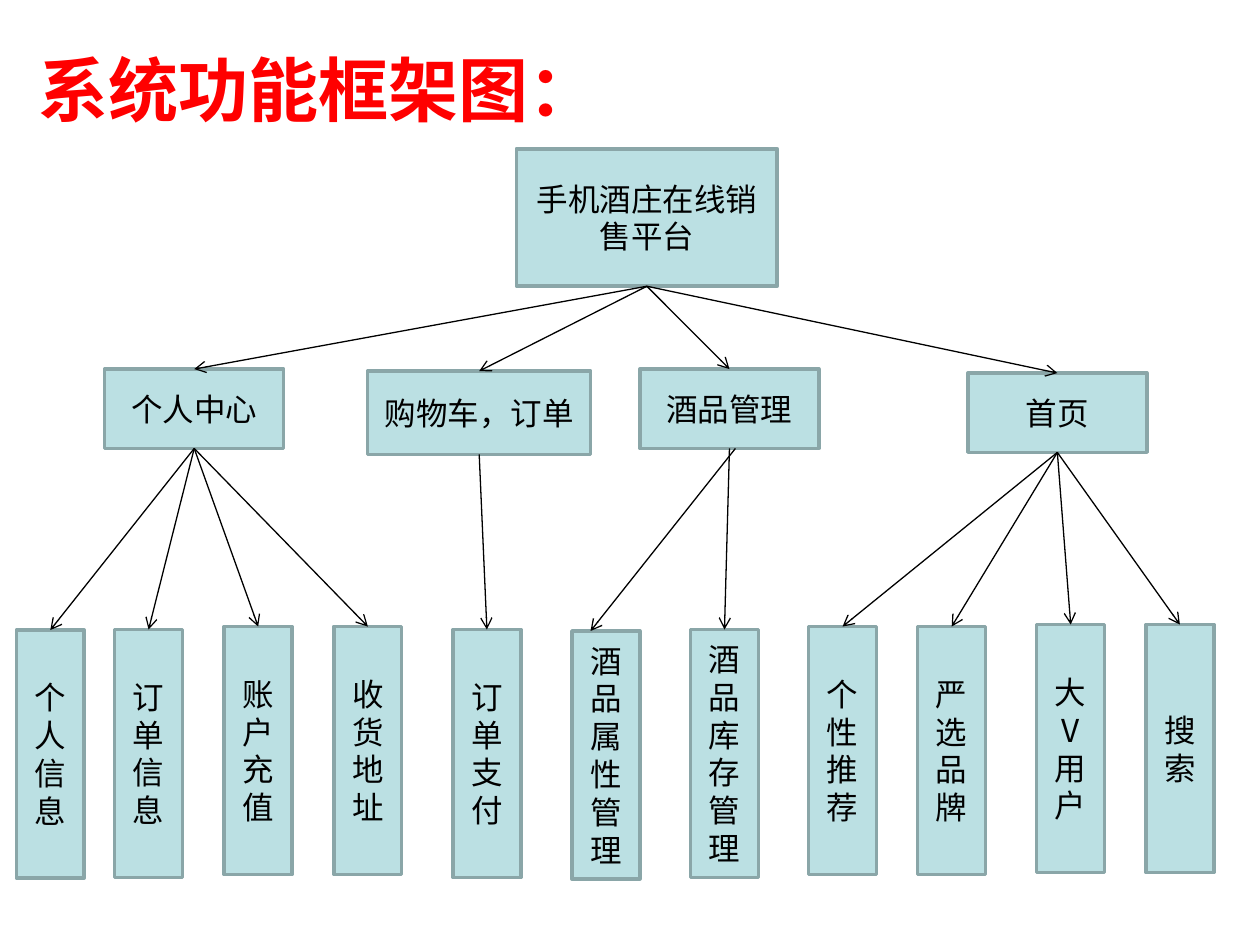
import pptx
import pptx.dml.color
import pptx.enum.shapes
import pptx.enum.text
import pptx.util
import lxml.etree
from pptx.oxml.ns import qn

Cm = pptx.util.Cm
Pt = pptx.util.Pt
RGBColor = pptx.dml.color.RGBColor

BOX_FILL = RGBColor(0xBB, 0xE0, 0xE3)
BOX_LINE = RGBColor(0x8A, 0xA6, 0xA8)
BLACK = RGBColor(0, 0, 0)
RED = RGBColor(0xFF, 0, 0)

LEAF_WIDTH, LEAF_HEIGHT = 1.37, 5

ROOT = ("手机酒庄在线销售平台", 10.41, 3, 5.26, 2.77)
BRANCHES = [
    (("个人中心", 2.11, 7.44, 3.61, 1.6), [
        ("个人信息", 0.33, 12.7), ("订单信息", 2.31, 12.69),
        ("账户充值", 4.52, 12.63), ("收货地址", 6.73, 12.63)]),
    (("购物车，订单", 7.41, 7.48, 4.5, 1.68), [("订单支付", 9.13, 12.69)]),
    (("酒品管理", 12.9, 7.44, 3.61, 1.6), [
        ("酒品属性管理", 11.53, 12.72), ("酒品库存管理", 13.92, 12.69)]),
    (("首页", 19.51, 7.52, 3.61, 1.6), [
        ("个性推荐", 16.3, 12.63), ("严选品牌", 18.5, 12.63),
        ("大V用户", 20.9, 12.59), ("搜索", 23.1, 12.59)]),
]
ARROW_SHIFTS = {"酒品属性管理": (0.12, -0.31)}


class Diagram:
    box_font = "Noto Sans CJK SC"
    title_font = "TeX Gyre Adventor"

    def __init__(self, slide):
        self.slide = slide

    def add_run(self, paragraph, text, size, font_name, color, bold=False):
        run = paragraph.add_run()
        run.text = text
        run.font.size = Pt(size)
        run.font.name = font_name
        run.font.bold = bold
        run.font.color.rgb = color
        properties = run.font._element
        east_asian = lxml.etree.SubElement(properties, qn("a:ea"))
        east_asian.set("typeface", self.box_font)

    def add_title(self, text, left, top, width, height):
        shape = self.slide.shapes.add_textbox(Cm(left), Cm(top), Cm(width), Cm(height))
        shape.text_frame.word_wrap = True
        self.add_run(shape.text_frame.paragraphs[0], text, 40, self.title_font, RED, True)

    def add_box(self, text, left, top, width, height):
        shape = self.slide.shapes.add_shape(
            pptx.enum.shapes.MSO_SHAPE.RECTANGLE, Cm(left), Cm(top), Cm(width), Cm(height))
        shape.shadow.inherit = False
        shape.fill.solid()
        shape.fill.fore_color.rgb = BOX_FILL
        shape.line.color.rgb = BOX_LINE
        shape.line.width = Pt(2)
        shape.text_frame.word_wrap = True
        shape.text_frame.vertical_anchor = pptx.enum.text.MSO_ANCHOR.MIDDLE
        paragraph = shape.text_frame.paragraphs[0]
        paragraph.alignment = pptx.enum.text.PP_ALIGN.CENTER
        self.add_run(paragraph, text, 18, self.box_font, BLACK)
        return shape

    def add_arrow(self, parent, child, start_shift=0, end_shift=0):
        connector = self.slide.shapes.add_connector(
            pptx.enum.shapes.MSO_CONNECTOR.STRAIGHT,
            parent.left + parent.width // 2 + Cm(start_shift), parent.top + parent.height,
            child.left + child.width // 2 + Cm(end_shift), child.top)
        connector.line.color.rgb = BLACK
        connector.line.width = Pt(0.75)
        line = connector.line._get_or_add_ln()
        lxml.etree.SubElement(line, qn("a:tailEnd")).set("type", "arrow")
        lxml.etree.SubElement(connector._element.spPr, qn("a:effectLst"))


presentation = pptx.Presentation()
presentation.slide_width = Cm(25.4)
presentation.slide_height = Cm(19.05)
diagram = Diagram(presentation.slides.add_slide(presentation.slide_layouts[6]))

root = diagram.add_box(*ROOT)
for branch, leaves in BRANCHES:
    branch_box = diagram.add_box(*branch)
    diagram.add_arrow(root, branch_box)
    for text, left, top in leaves:
        leaf_box = diagram.add_box(text, left, top, LEAF_WIDTH, LEAF_HEIGHT)
        diagram.add_arrow(branch_box, leaf_box, *ARROW_SHIFTS.get(text, (0, 0)))
diagram.add_title("系统功能框架图：", 0.53, 0.81, 11.68, 1.96)

presentation.save("out.pptx")
